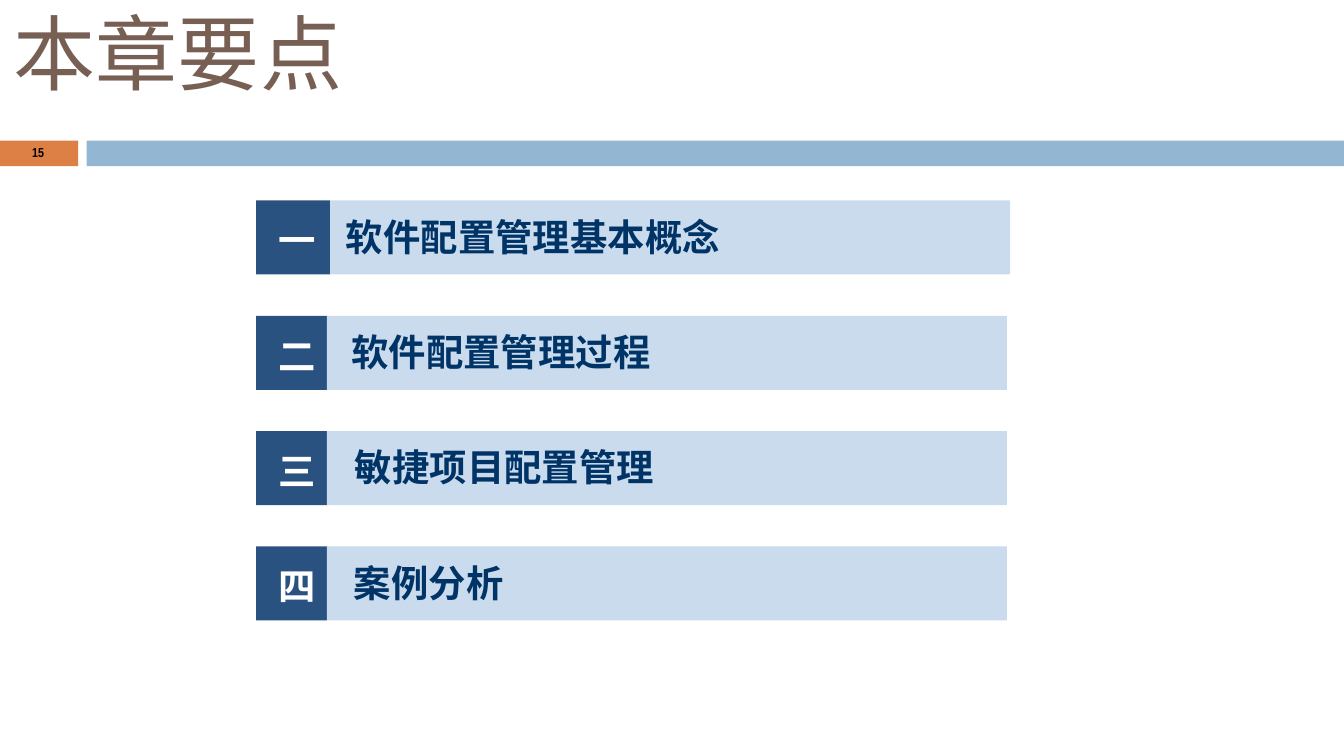
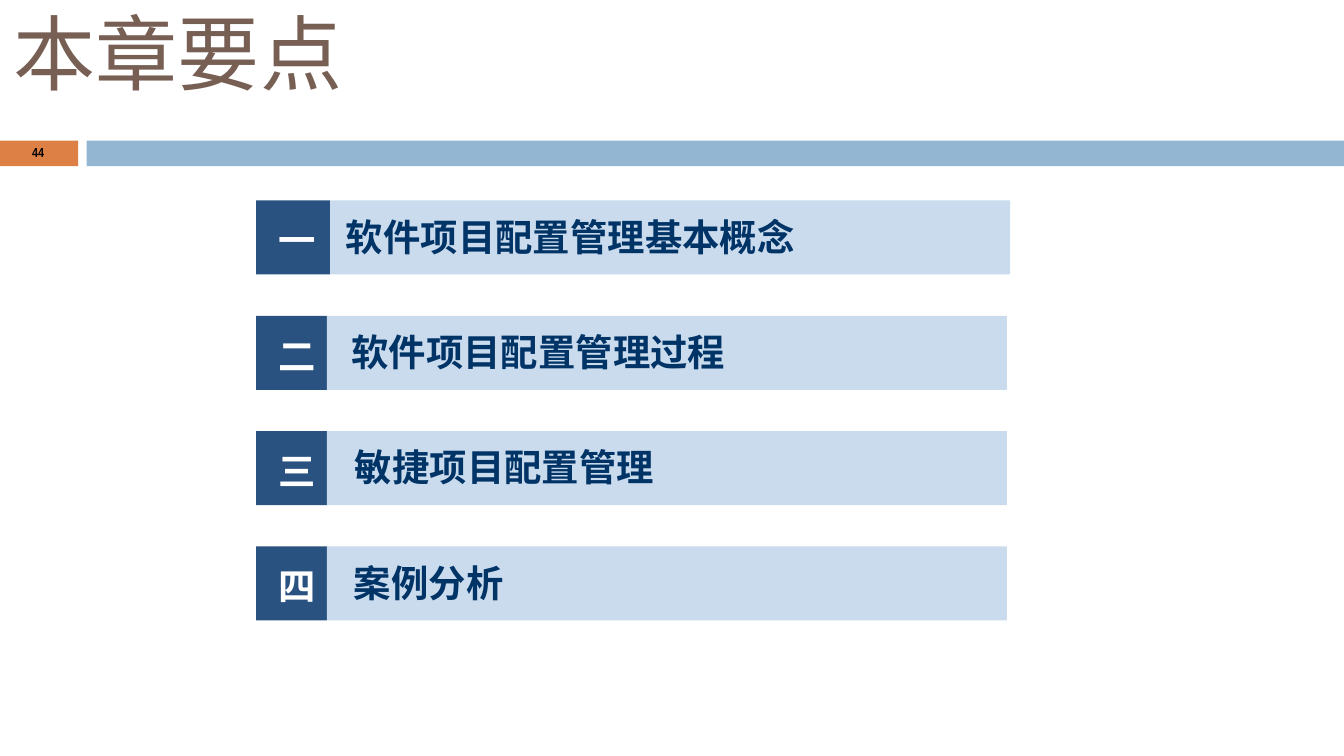
import dataclasses

import lxml.etree
import pptx
import pptx.dml.color
import pptx.enum.shapes
import pptx.enum.text
import pptx.oxml.ns
import pptx.util

Cm = pptx.util.Cm
Pt = pptx.util.Pt


@dataclasses.dataclass(frozen=True)
class Theme:
    """Colours, fonts and type sizes of the deck."""
    number_band: str = "DD8046"
    band: str = "93B6D2"
    title: str = "775F54"
    number: str = "000000"
    tile: str = "2A5280"
    tile_text: str = "FFFFFF"
    bar: str = "C9DBED"
    bar_text: str = "003366"
    font: str = "Noto Sans CJK SC"
    number_font: str = "Arial Narrow"
    title_size: int = 44
    item_size: int = 20
    number_size: int = 7


THEME = Theme()
SLIDE_WIDTH, SLIDE_HEIGHT = 25.4, 14.29
TITLE = "本章要点"
ORDINALS = "一二三四"
TILE_WIDTHS = (1.4, 1.34, 1.34, 1.34)
LABEL_INDENTS = (0.3, 0.46, 0.53, 0.51)
ROW_HEIGHT, ROW_PITCH, BAR_WIDTH = 1.4, 2.18, 12.85
CHAPTERS = (
    ("15", ("软件配置管理基本概念", "软件配置管理过程",
            "敏捷项目配置管理", "案例分析")),
    ("44", ("软件项目配置管理基本概念", "软件项目配置管理过程",
            "敏捷项目配置管理", "案例分析")),
)


def write_text(holder, text, *, size, color, font=THEME.font, bold=False,
               lead=0.0, indent=0.03):
    """Fill a shape with one left-aligned line that starts lead points down."""
    frame = holder.text_frame
    frame.word_wrap = True
    frame.auto_size = pptx.enum.text.MSO_AUTO_SIZE.SHAPE_TO_FIT_TEXT
    frame.vertical_anchor = pptx.enum.text.MSO_ANCHOR.TOP
    frame.margin_left = frame.margin_right = frame.margin_bottom = 0
    frame.margin_top = Pt(lead)
    paragraph = frame.paragraphs[0]
    paragraph.alignment = pptx.enum.text.PP_ALIGN.LEFT
    paragraph.space_before = Pt(lead)
    properties = paragraph._p.get_or_add_pPr()
    properties.set("marL", str(Cm(indent)))
    properties.set("indent", "0")
    run = paragraph.add_run()
    run.text = text
    run.font.size = Pt(size)
    run.font.bold = bold
    run.font.color.rgb = pptx.dml.color.RGBColor.from_string(color)
    run.font.name = font
    east_asian = lxml.etree.SubElement(run._r.get_or_add_rPr(),
                                       pptx.oxml.ns.qn("a:ea"))
    east_asian.set("typeface", font)


def add_block(slide, box, color):
    """Add a plain filled rectangle in the given box."""
    block = slide.shapes.add_shape(pptx.enum.shapes.MSO_SHAPE.RECTANGLE,
                                   *map(Cm, box))
    block.shadow.inherit = False
    block.fill.solid()
    block.fill.fore_color.rgb = pptx.dml.color.RGBColor.from_string(color)
    block.line.fill.background()
    return block


def add_label(slide, box, text, **text_format):
    """Add a text box in the given box."""
    write_text(slide.shapes.add_textbox(*map(Cm, box)), text, **text_format)


def add_header(slide, box, title, number):
    """Place the title above the two bands and the page number."""
    left, top, width, height = box
    number_width, gap, band_height = 1.48, 0.16, 0.48
    band_top = top + height - band_height
    band_left = left + number_width + gap
    add_block(slide, (left, band_top, number_width, band_height),
              THEME.number_band)
    add_block(slide, (band_left, band_top, left + width - band_left,
                      band_height), THEME.band)
    add_label(slide, (left + 0.23, top, 6.3, 1.93), title,
              size=THEME.title_size, color=THEME.title, lead=1.1)
    add_label(slide, (left + 0.58, band_top + 0.03, 0.28, 0.36), number,
              size=THEME.number_size, color=THEME.number,
              font=THEME.number_font, bold=True, lead=0.9)


def add_agenda(slide, box, topics):
    """Stack one numbered tile and bar per topic from the top of the box."""
    left, top, bar_width, row_height = box
    rows = zip(ORDINALS, topics, TILE_WIDTHS, LABEL_INDENTS)
    for index, (ordinal, topic, tile_width, indent) in enumerate(rows):
        row_top = top + index * ROW_PITCH
        tile = add_block(slide, (left, row_top, tile_width, row_height),
                         THEME.tile)
        write_text(tile, ordinal, size=THEME.item_size, bold=True,
                   color=THEME.tile_text, lead=9.2, indent=0.43)
        bar = add_block(slide, (left + tile_width, row_top, bar_width,
                                row_height), THEME.bar)
        write_text(bar, topic, size=THEME.item_size, bold=True,
                   color=THEME.bar_text, lead=7.2, indent=indent)


def add_chapter_slide(deck, number, topics):
    """Add one slide with the header and the list of topics."""
    slide = deck.slides.add_slide(deck.slide_layouts[6])
    add_header(slide, (0, 0, SLIDE_WIDTH, 3.14), TITLE, number)
    add_agenda(slide, (4.84, 3.79, BAR_WIDTH, ROW_HEIGHT), topics)


def main():
    """Build the deck and save it."""
    deck = pptx.Presentation()
    deck.slide_width, deck.slide_height = Cm(SLIDE_WIDTH), Cm(SLIDE_HEIGHT)
    for number, topics in CHAPTERS:
        add_chapter_slide(deck, number, topics)
    deck.save("out.pptx")


if __name__ == "__main__":
    main()
